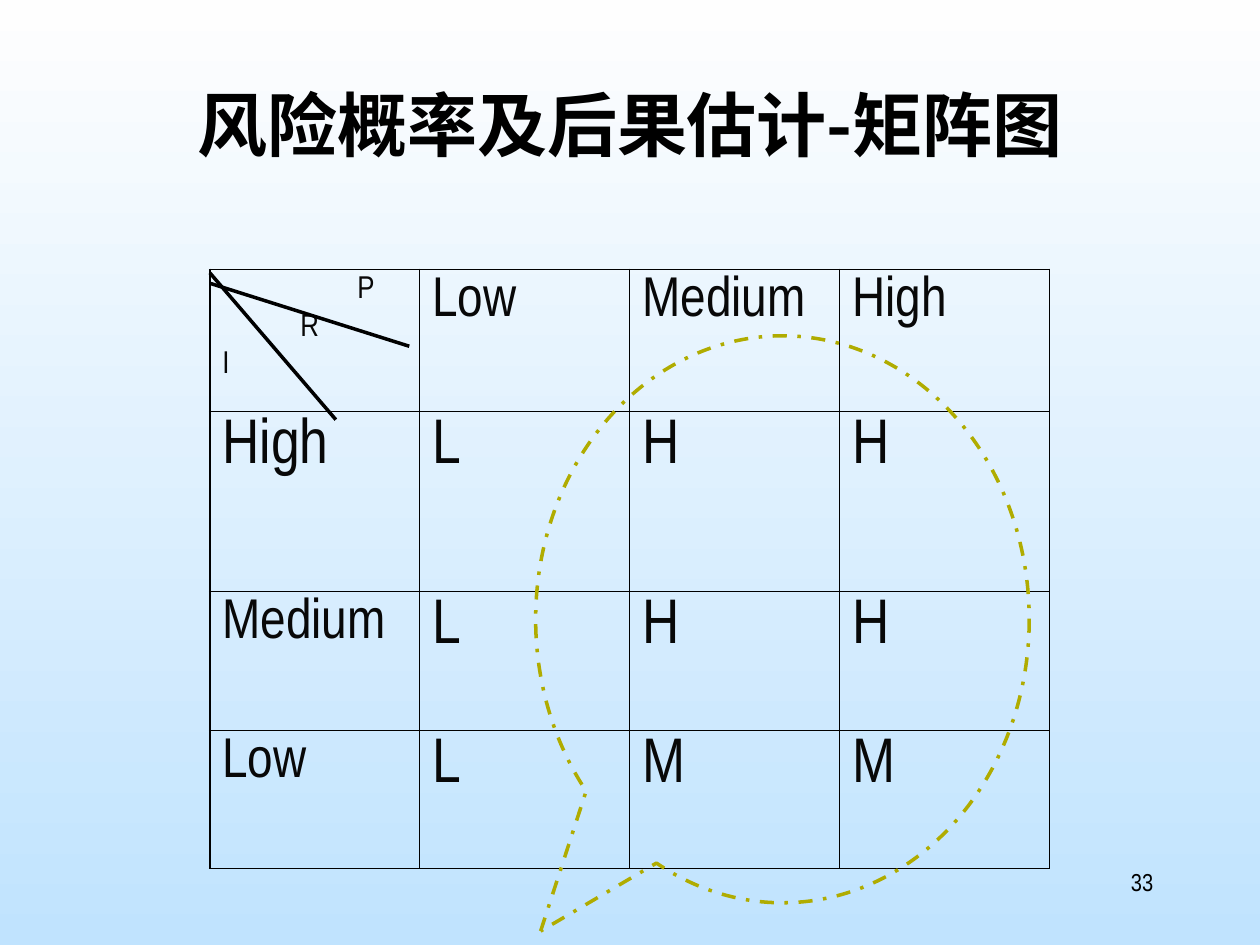
import lxml.etree
import pptx
import pptx.dml.color
import pptx.enum.dml
import pptx.enum.shapes
import pptx.enum.text
import pptx.oxml.ns
import pptx.util

Cm, Pt = pptx.util.Cm, pptx.util.Pt
qn = pptx.oxml.ns.qn
ALIGN = pptx.enum.text.PP_ALIGN
BODY_FONT, TITLE_FONT = "Arial Narrow", "Noto Sans CJK SC"
INK = "080808"
THIN, THICK = 0.45, 1.08

ROW_HEIGHTS = [2.86, 3.64, 2.79, 2.79]
MATRIX = [
    ["", "Low", "Medium", "High"],
    ["High", "L", "H", "H"],
    ["Medium", "L", "H", "H"],
    ["Low", "L", "M", "M"],
]
CORNER = [("P", 2.72), ("R", 1.57), ("I", 0)]  # label, indent in cm


def rgb(hex_colour):
    return pptx.dml.color.RGBColor.from_string(hex_colour)


def format_paragraph(paragraph, size, font, colour, bold=False):
    for run in paragraph.runs:
        run.font.size, run.font.bold, run.font.name = Pt(size), bold, font
        run.font.color.rgb = rgb(colour)
        east_asian = lxml.etree.SubElement(run.font._element, qn("a:ea"))
        east_asian.set("typeface", font)


def paint_background(slide):
    fill = slide.background.fill
    fill.gradient()
    fill.gradient_angle = 270
    for stop, colour, position in zip(fill.gradient_stops, ("FEFEFE", "C0E3FE"), (0, 1)):
        stop.color.rgb = rgb(colour)
        stop.position = position


def place_title(slide, left, top, width, height):
    title = slide.shapes.title
    title.left, title.top, title.width, title.height = map(Cm, (left, top, width, height))
    frame = title.text_frame
    frame.text = "风险概率及后果估计-矩阵图"
    frame.auto_size = pptx.enum.text.MSO_AUTO_SIZE.NONE
    frame.vertical_anchor = pptx.enum.text.MSO_ANCHOR.TOP
    heading = frame.paragraphs[0]
    heading.alignment = ALIGN.CENTER
    heading.line_spacing = 0.9
    format_paragraph(heading, 40, TITLE_FONT, "000000", bold=True)


def set_borders(cell, widths):
    properties = cell._tc.get_or_add_tcPr()
    for index, (side, width) in enumerate(widths.items()):
        border = lxml.etree.Element(qn("a:ln" + side), w=str(Pt(width)))
        fill = lxml.etree.SubElement(border, qn("a:solidFill"))
        lxml.etree.SubElement(fill, qn("a:srgbClr"), val="000000")
        properties.insert(index, border)


def fill_corner(cell):
    frame = cell.text_frame
    frame.text = "\n".join(label for label, _ in CORNER)
    for paragraph, (_, indent) in zip(frame.paragraphs, CORNER):
        paragraph.space_before = Pt(4.5)
        paragraph._p.get_or_add_pPr().set("marL", str(Cm(indent)))
        format_paragraph(paragraph, 18, BODY_FONT, INK)


def fill_cell(cell, text, size):
    cell.text_frame.text = text
    paragraph = cell.text_frame.paragraphs[0]
    paragraph.space_before = Pt(size / 4)
    format_paragraph(paragraph, size, BODY_FONT, INK)


def place_matrix(slide, left, top, width):
    count = len(MATRIX)
    last = count - 1
    matrix = slide.shapes.add_table(
        count, count, Cm(left), Cm(top), Cm(width), Cm(sum(ROW_HEIGHTS))).table
    matrix.first_row = matrix.horz_banding = False
    for row, height in zip(matrix.rows, ROW_HEIGHTS):
        row.height = Cm(height)
    for column in matrix.columns:
        column.width = Cm(width / count)
    for r, labels in enumerate(MATRIX):
        for c, label in enumerate(labels):
            cell = matrix.cell(r, c)
            cell.fill.background()
            outer = {"L": c == 0, "R": c == last, "T": r == 0, "B": r == last}
            set_borders(cell, {side: THICK if edge else THIN for side, edge in outer.items()})
            if r == c == 0:
                fill_corner(cell)
            else:
                is_header = r == 0 or (c == 0 and r > 1)
                fill_cell(cell, label, 32 if is_header else 36)


def place_corner_lines(slide, left, top):
    # Start drop, then run and rise of each divider
    for drop, run, rise in ((0.07, 2.54, 2.96), (0.28, 4.02, 1.27)):
        divider = slide.shapes.add_connector(
            pptx.enum.shapes.MSO_CONNECTOR.STRAIGHT,
            Cm(left), Cm(top + drop), Cm(left + run), Cm(top + drop + rise))
        divider.line.color.rgb = rgb("000000")
        divider.line.width = Pt(2)
        lxml.etree.SubElement(divider._element.spPr, qn("a:effectLst"))


def place_callout(slide, left, top, width, height):
    callout = slide.shapes.add_shape(
        pptx.enum.shapes.MSO_SHAPE.OVAL_CALLOUT, Cm(left), Cm(top), Cm(width), Cm(height))
    callout.adjustments[0], callout.adjustments[1] = -0.49, 0.55
    callout.shadow.inherit = False
    callout.fill.background()
    callout.line.color.rgb = rgb("B0AC00")
    callout.line.width = Pt(2)
    callout.line.dash_style = pptx.enum.dml.MSO_LINE.DASH_DOT


def place_page_number(slide, left, top, width, height):
    frame = slide.shapes.add_textbox(Cm(left), Cm(top), Cm(width), Cm(height)).text_frame
    frame.word_wrap = True
    frame.text = "33"
    number = frame.paragraphs[0]
    number.alignment = ALIGN.RIGHT
    format_paragraph(number, 14, BODY_FONT, "000000")


def main():
    deck = pptx.Presentation()
    deck.slide_width, deck.slide_height = Cm(25.4), Cm(19.05)
    slide = deck.slides.add_slide(deck.slide_layouts[5])
    paint_background(slide)
    place_title(slide, 1.9, 1.7, 21.6, 3.18)
    place_matrix(slide, 4.23, 5.43, 16.93)
    place_corner_lines(slide, 4.23, 5.43)
    place_callout(slide, 10.8, 6.77, 9.95, 11.43)
    place_page_number(slide, 18.2, 17.36, 5.3, 1.27)
    deck.save("out.pptx")


if __name__ == "__main__":
    main()
